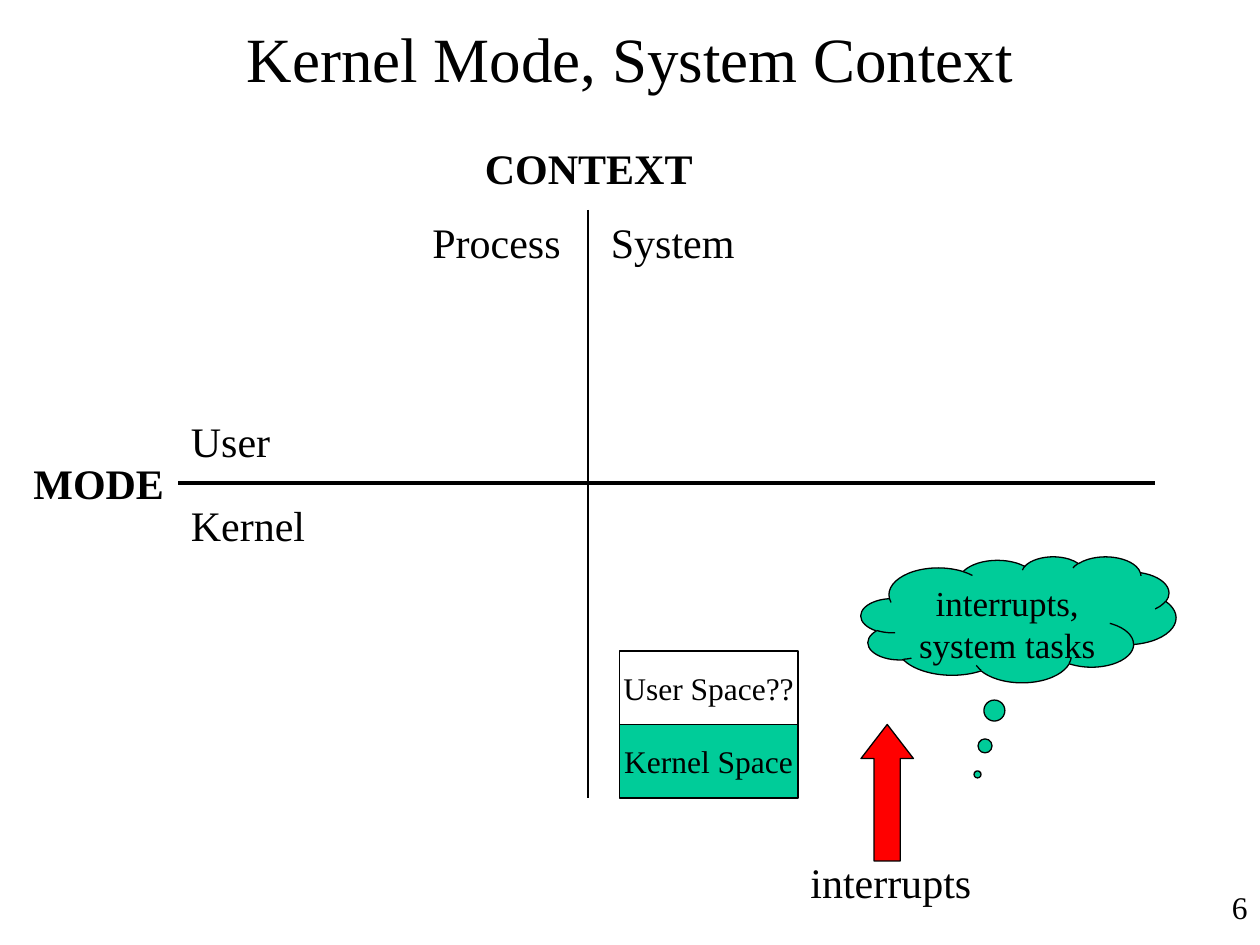
import pptx
import pptx.util
import pptx.dml.color
import pptx.enum.shapes
import pptx.enum.text
import pptx.oxml.ns
import lxml.etree

PX = 7620
FONT = "Times New Roman"
BLACK = pptx.dml.color.RGBColor(0, 0, 0)
WHITE = pptx.dml.color.RGBColor(255, 255, 255)
GREEN = pptx.dml.color.RGBColor(0, 204, 153)
RED = pptx.dml.color.RGBColor(255, 0, 0)
SHAPE = pptx.enum.shapes.MSO_SHAPE
ALIGN = pptx.enum.text.PP_ALIGN
ANCHOR = pptx.enum.text.MSO_ANCHOR


def emu(*lengths):
    return [pptx.util.Emu(length * PX) for length in lengths]


def write(shape, text, size, align=ALIGN.LEFT, anchor=ANCHOR.TOP, wrap=False, bold=False):
    frame = shape.text_frame
    frame.word_wrap = wrap
    frame.vertical_anchor = anchor
    paragraph = frame.paragraphs[0]
    paragraph.alignment = align
    run = paragraph.add_run()
    run.text = text
    run.font.name = FONT
    run.font.size = pptx.util.Pt(size)
    run.font.bold = bold
    run.font.color.rgb = BLACK


def add_label(slide, left, top, width, text, bold=False):
    label = slide.shapes.add_textbox(*emu(left, top, width, 60))
    write(label, text, 24, bold=bold)
    label.text_frame.auto_size = pptx.enum.text.MSO_AUTO_SIZE.SHAPE_TO_FIT_TEXT


def add_line(slide, start_x, start_y, end_x, end_y, weight):
    line = slide.shapes.add_connector(
        pptx.enum.shapes.MSO_CONNECTOR.STRAIGHT, *emu(start_x, start_y, end_x, end_y))
    line.line.color.rgb = BLACK
    line.line.width = pptx.util.Pt(weight)
    lxml.etree.SubElement(line._element.spPr, pptx.oxml.ns.qn("a:effectLst"))


def add_filled(slide, kind, left, top, width, height, fill):
    shape = slide.shapes.add_shape(kind, *emu(left, top, width, height))
    shape.shadow.inherit = False
    shape.fill.solid()
    shape.fill.fore_color.rgb = fill
    shape.line.color.rgb = BLACK
    shape.line.width = pptx.util.Pt(0.75)
    return shape


def add_title(slide, left, top, width, height):
    title = slide.shapes.title
    title.left, title.top, title.width, title.height = emu(left, top, width, height)
    write(title, "Kernel Mode, System Context", 36, ALIGN.CENTER, ANCHOR.MIDDLE, wrap=True)


def add_axes(slide, left, top, width, height):
    axis_x, axis_y = left + 540, top + 330
    mode_left, context_top = left + 150, top + 70
    add_line(slide, axis_x, context_top, axis_x, top + height, 0.75)
    add_line(slide, mode_left, axis_y, left + width, axis_y, 2.25)
    add_label(slide, axis_x - 110, top, 222, "CONTEXT", bold=True)
    add_label(slide, left, axis_y - 30, 148, "MODE", bold=True)
    add_label(slide, mode_left, axis_y - 70, 100, "User")
    add_label(slide, mode_left, axis_y + 10, 134, "Kernel")
    add_label(slide, axis_x - 160, context_top, 147, "Process")
    add_label(slide, axis_x + 10, context_top, 142, "System")


def add_memory(slide, left, top, width, height):
    row_height = height // 2
    rows = [("User Space??", WHITE), ("Kernel Space", GREEN)]
    for index, (text, fill) in enumerate(rows):
        space = add_filled(slide, SHAPE.RECTANGLE, left, top + index * row_height,
                           width, row_height, fill)
        write(space, text, 18, ALIGN.CENTER, ANCHOR.MIDDLE)


def add_interrupts(slide, left, top, width):
    cloud = add_filled(slide, SHAPE.CLOUD_CALLOUT, left + 60, top, width - 60, 120, GREEN)
    cloud.adjustments[0] = -0.13
    cloud.adjustments[1] = 1.23
    write(cloud, "interrupts, system tasks", 20, ALIGN.CENTER, wrap=True)
    arrow = add_filled(slide, SHAPE.UP_ARROW, left + 60, top + 160, 50, 130, RED)
    arrow.adjustments[0] = 0.5
    arrow.adjustments[1] = 0.65
    add_label(slide, left, top + 280, 178, "interrupts")


def add_slide_number(slide, left, top, width, height):
    number = slide.shapes.add_textbox(*emu(left, top, width, height))
    write(number, "6", 18, ALIGN.RIGHT, wrap=True)


def main():
    presentation = pptx.Presentation()
    presentation.slide_width, presentation.slide_height = emu(1200, 900)
    slide = presentation.slides.add_slide(presentation.slide_layouts[5])
    add_title(slide, 40, 0, 1120, 110)
    add_axes(slide, 20, 130, 1080, 630)
    add_memory(slide, 590, 620, 170, 140)
    add_interrupts(slide, 760, 530, 360)
    add_slide_number(slide, 950, 840, 250, 60)
    presentation.save("out.pptx")


if __name__ == "__main__":
    main()
